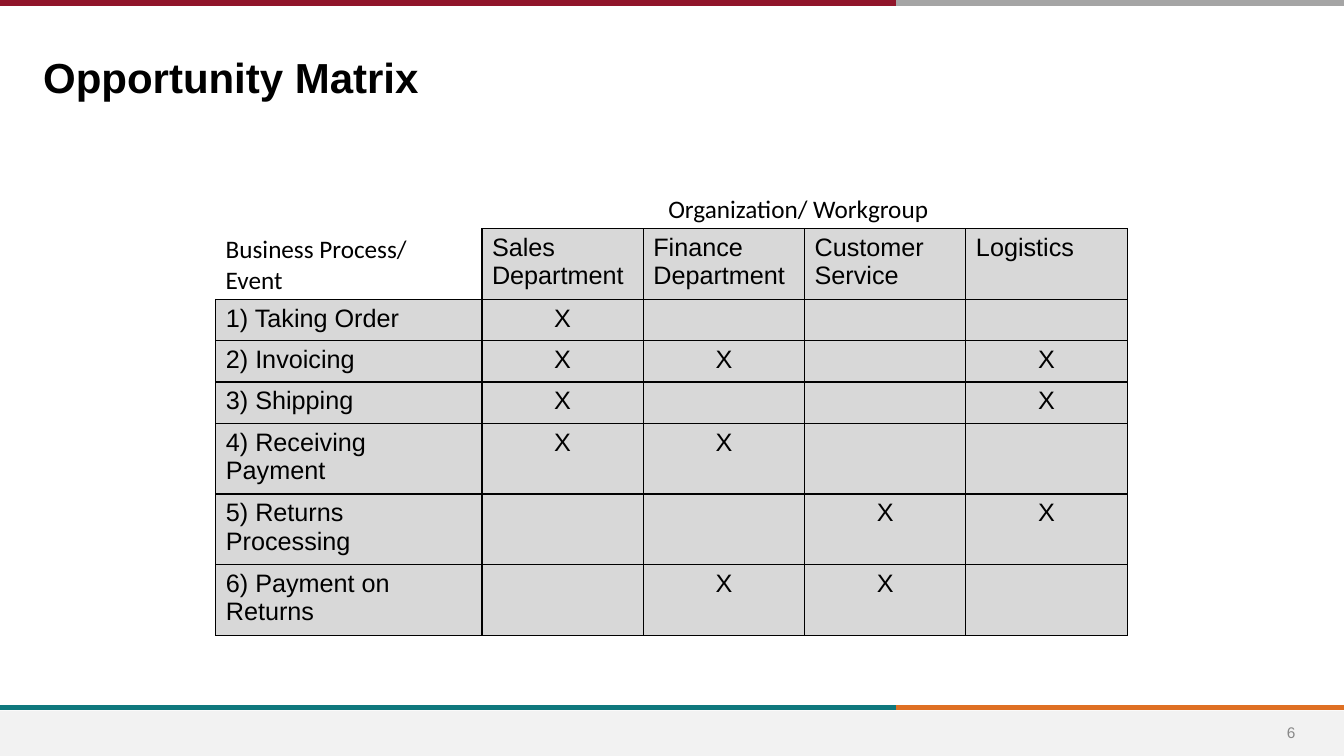
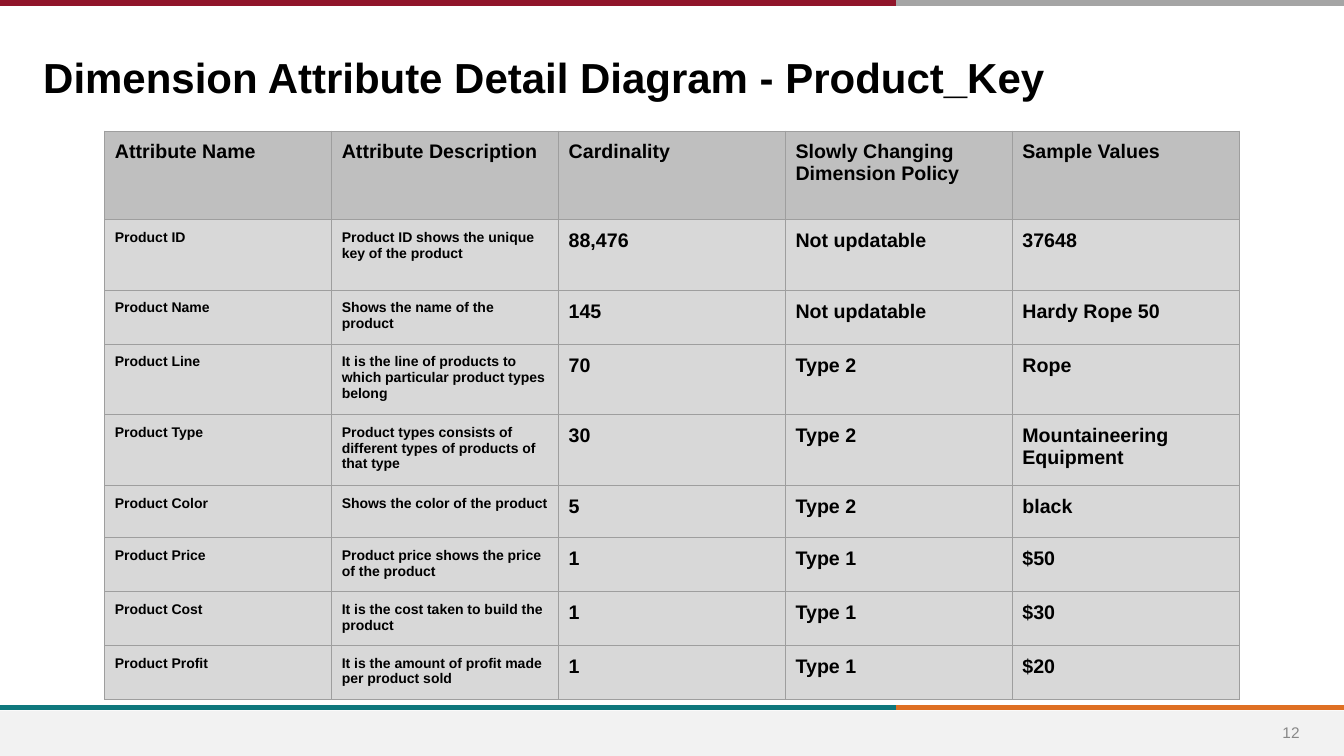
from dataclasses import dataclass

import lxml.etree
import pptx
import pptx.dml.color
import pptx.enum.shapes
import pptx.enum.text
import pptx.oxml.ns
import pptx.util

Inches = pptx.util.Inches
Pt = pptx.util.Pt
CENTER = pptx.enum.text.PP_ALIGN.CENTER
MIDDLE = pptx.enum.text.MSO_ANCHOR.MIDDLE


@dataclass(frozen=True)
class Theme:
    width: float = 13.33
    height: float = 7.5
    # Fonts and type sizes
    font: str = "Arial"
    label_font: str = "Calibri"
    title_size: float = 30
    matrix_size: float = 18
    detail_size: float = 14
    small_size: float = 10
    number_size: float = 11
    # Colours
    text: str = "000000"
    muted: str = "888888"
    paper: str = "FFFFFF"
    footer: str = "F2F2F2"
    cell: str = "D8D8D8"
    header: str = "BFBFBF"
    grid: str = "9E9E9E"
    crimson: str = "90152A"
    grey: str = "A5A5A5"
    teal: str = "0F787D"
    orange: str = "DF7023"
    # Bands
    band_split: float = 8.89
    band_weight: float = 4


THEME = Theme()

WORKGROUPS = ["Sales Department", "Finance Department", "Customer Service", "Logistics"]

# Each process with the workgroups (by column) that take part in it
PROCESSES = [
    ("1) Taking Order", {0}),
    ("2) Invoicing", {0, 1, 3}),
    ("3) Shipping", {0, 3}),
    ("4) Receiving Payment", {0, 1}),
    ("5) Returns Processing", {2, 3}),
    ("6) Payment on Returns", {1, 2}),
]

ATTRIBUTE_HEADINGS = ["Attribute Name", "Attribute Description", "Cardinality",
                      "Slowly Changing Dimension Policy", "Sample Values"]

ATTRIBUTES = [
    ("Product ID", "Product ID shows the unique key of the product",
     "88,476", "Not updatable", "37648"),
    ("Product Name", "Shows the name of the product",
     "145", "Not updatable", "Hardy Rope 50"),
    ("Product Line", "It is the line of products to which particular product types belong",
     "70", "Type 2", "Rope"),
    ("Product Type", "Product types consists of different types of products of that type",
     "30", "Type 2", "Mountaineering Equipment"),
    ("Product Color", "Shows the color of the product", "5", "Type 2", "black"),
    ("Product Price", "Product price shows the price of the product", "1", "Type 1", "$50"),
    ("Product Cost", "It is the cost taken to build the product", "1", "Type 1", "$30"),
    ("Product Profit", "It is the amount of profit made per product sold",
     "1", "Type 1", "$20"),
]


def rgb(color):
    return pptx.dml.color.RGBColor.from_string(color)


def write(frame, text, size, font=THEME.font, color=THEME.text, bold=False, align=None):
    """Put one styled paragraph into a text frame."""
    paragraph = frame.paragraphs[0]
    paragraph.text = text
    paragraph.alignment = align
    paragraph.font.name = font
    paragraph.font.size = Pt(size)
    paragraph.font.bold = bold
    paragraph.font.color.rgb = rgb(color)


def add_label(slide, box, text, size, anchor=None, **style):
    frame = slide.shapes.add_textbox(*map(Inches, box)).text_frame
    frame.word_wrap = True
    frame.vertical_anchor = anchor
    write(frame, text, size, **style)


def add_band(slide, start, end, y, color):
    band = slide.shapes.add_connector(
        pptx.enum.shapes.MSO_CONNECTOR.STRAIGHT,
        Inches(start), Inches(y), Inches(end), Inches(y))
    band.line.color.rgb = rgb(color)
    band.line.width = Pt(THEME.band_weight)
    properties = band._element.spPr
    lxml.etree.SubElement(properties, pptx.oxml.ns.qn("a:effectLst"))


def add_band_pair(slide, y, left_color, right_color):
    add_band(slide, THEME.band_split, THEME.width, y, right_color)
    add_band(slide, 0, THEME.band_split, y, left_color)


def add_framed_slide(deck, title, number):
    """Blank slide with the shared bands, footer, page number and title."""
    slide = deck.slides.add_slide(deck.slide_layouts[6])
    add_band_pair(slide, 7.02, THEME.teal, THEME.orange)
    footer = slide.shapes.add_shape(
        pptx.enum.shapes.MSO_SHAPE.RECTANGLE,
        0, Inches(7.05), Inches(THEME.width), Inches(0.45))
    footer.shadow.inherit = False
    footer.fill.solid()
    footer.fill.fore_color.rgb = rgb(THEME.footer)
    footer.line.fill.background()
    add_band_pair(slide, 0.03, THEME.crimson, THEME.grey)
    add_label(slide, (12.46, 7.07, 0.69, 0.4), str(number), THEME.number_size,
              anchor=MIDDLE, color=THEME.muted, align=CENTER)
    add_label(slide, (0.33, 0.46, 10.65, 0.59), title, THEME.title_size, bold=True)
    return slide


def add_grid(slide, left, top, widths, heights):
    """Table without a banded style, sized by its columns and rows."""
    grid = slide.shapes.add_table(
        len(heights), len(widths), Inches(left), Inches(top),
        Inches(sum(widths)), Inches(sum(heights))).table
    grid.first_row = grid.horz_banding = False
    for column, width in zip(grid.columns, widths):
        column.width = Inches(width)
    for row, height in zip(grid.rows, heights):
        row.height = Inches(height)
    return grid


def style_cell(cell, fill, border, weight, sides="LRTB", pad=0.05):
    cell.margin_left = cell.margin_right = Inches(0.1)
    cell.margin_top = cell.margin_bottom = Inches(pad)
    cell.fill.solid()
    cell.fill.fore_color.rgb = rgb(fill)
    # Borders come before the fill in the cell properties
    qn = pptx.oxml.ns.qn
    properties = cell._tc.get_or_add_tcPr()
    for index, side in enumerate("LRTB"):
        edge = lxml.etree.Element(qn(f"a:ln{side}"), w=str(Pt(weight)))
        if side in sides:
            paint = lxml.etree.SubElement(edge, qn("a:solidFill"))
            lxml.etree.SubElement(paint, qn("a:srgbClr"), val=border)
        else:
            lxml.etree.SubElement(edge, qn("a:noFill"))
        properties.insert(index, edge)


def build_opportunity_matrix(deck):
    slide = add_framed_slide(deck, "Opportunity Matrix", 6)
    left, top = 2.14, 2.27
    rows = [["", *WORKGROUPS]]
    for process, groups in PROCESSES:
        marks = ["X" if column in groups else "" for column in range(len(WORKGROUPS))]
        rows.append([process, *marks])

    matrix = add_grid(slide, left, top, [2.64] + [1.6] * len(WORKGROUPS), [0.41] * len(rows))
    for r, row in enumerate(rows):
        for c, text in enumerate(row):
            cell = matrix.cell(r, c)
            corner = r == c == 0
            style_cell(cell, THEME.paper if corner else THEME.cell, THEME.text, 1,
                       sides="RB" if corner else "LRTB")
            if text:
                write(cell.text_frame, text, THEME.matrix_size,
                      align=CENTER if r and c else None)

    # Axis labels
    add_label(slide, (left, top, 2.59, 0.71), "Business Process/ Event",
              THEME.matrix_size, font=THEME.label_font)
    add_label(slide, (6.53, 1.87, 2.87, 0.4), "Organization/ Workgroup",
              THEME.matrix_size, font=THEME.label_font)


def build_attribute_detail(deck):
    slide = add_framed_slide(deck, "Dimension Attribute Detail Diagram - Product_Key", 12)
    heights = [0.88, 0.7, 0.52, 0.7, 0.7, 0.52, 0.53, 0.53, 0.53]
    details = add_grid(slide, 1.04, 1.3, [2.25] * len(ATTRIBUTE_HEADINGS), heights)
    for r, row in enumerate([ATTRIBUTE_HEADINGS, *ATTRIBUTES]):
        for c, text in enumerate(row):
            cell = details.cell(r, c)
            style_cell(cell, THEME.cell if r else THEME.header, THEME.grid, 0.75, pad=0.1)
            # Names and descriptions are set smaller than the values
            size = THEME.small_size if r and c < 2 else THEME.detail_size
            write(cell.text_frame, text, size, bold=True)


def main():
    deck = pptx.Presentation()
    deck.slide_width = Inches(THEME.width)
    deck.slide_height = Inches(THEME.height)
    build_opportunity_matrix(deck)
    build_attribute_detail(deck)
    deck.save("out.pptx")


if __name__ == "__main__":
    main()
